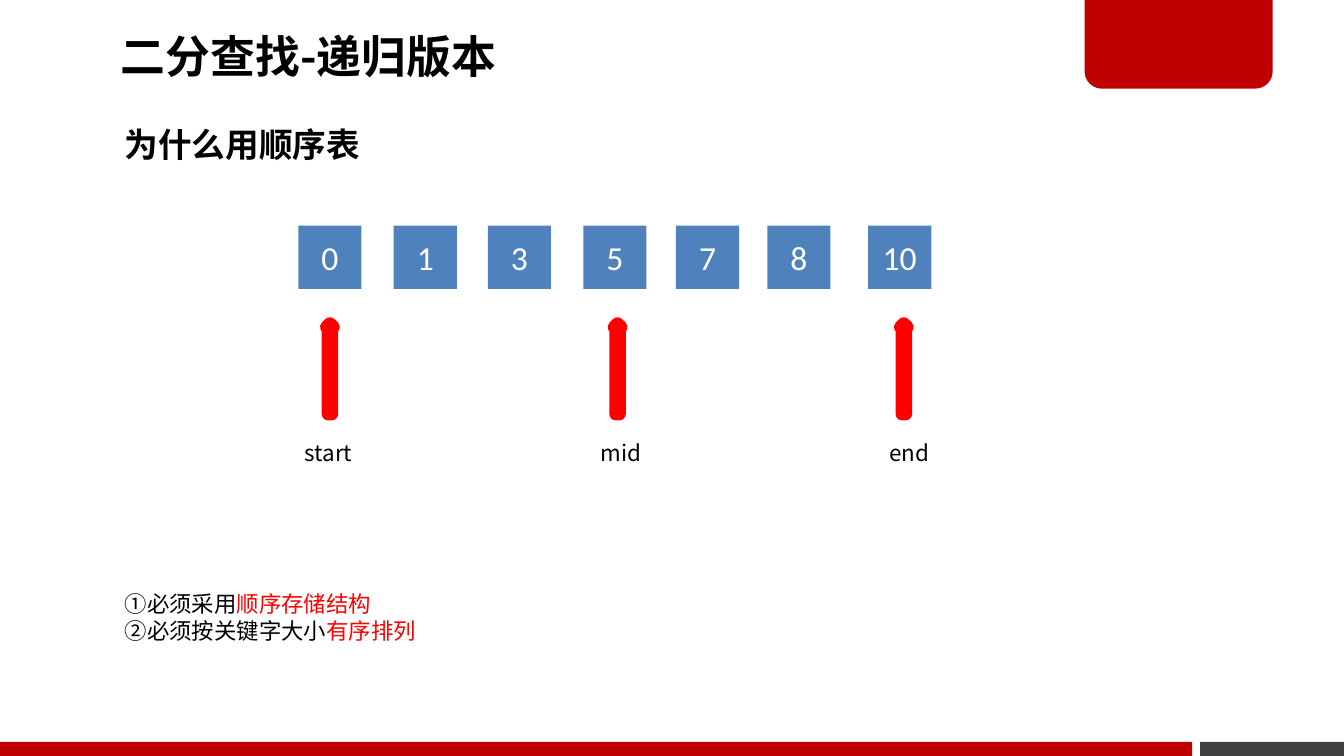
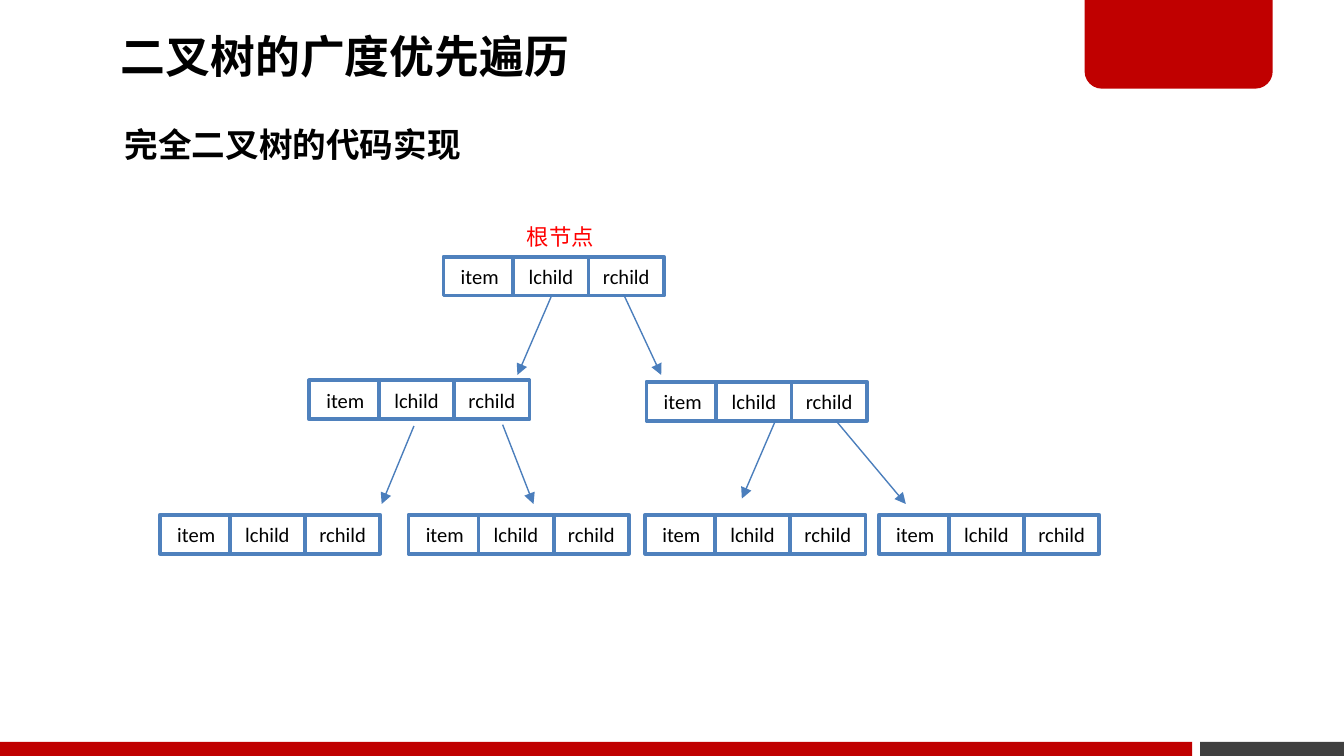
from dataclasses import dataclass

from lxml.etree import SubElement
from pptx import Presentation
from pptx.dml.color import RGBColor
from pptx.enum.shapes import MSO_CONNECTOR, MSO_SHAPE
from pptx.enum.text import MSO_ANCHOR, MSO_AUTO_SIZE, PP_ALIGN
from pptx.oxml.ns import qn
from pptx.util import Emu, Pt

EMU_PER_PX = 9144  # 100 px to the inch


@dataclass(frozen=True)
class Theme:
    red: str = "C00000"
    grey: str = "404040"
    blue: str = "4F81BD"
    edge: str = "4B7EBC"
    accent: str = "FF0000"
    ink: str = "000000"
    paper: str = "FFFFFF"
    cjk: str = "Noto Sans CJK SC"
    latin: str = "Calibri"
    title: int = 24
    heading: int = 18
    value: int = 18
    label: int = 12
    field: int = 11


THEME = Theme()


def px(*lengths):
    return [Emu(length * EMU_PER_PX) for length in lengths]


def rgb(code):
    return RGBColor.from_string(code)


def style(paragraph, size, color=THEME.ink, face=THEME.cjk, bold=False):
    font = paragraph.font
    font.size, font.bold, font.name = Pt(size), bold, face
    font.color.rgb = rgb(color)
    SubElement(font._rPr, qn("a:ea"), typeface=face)


def add_block(slide, box, fill=None, line=None, line_width=0, kind=MSO_SHAPE.RECTANGLE):
    block = slide.shapes.add_shape(kind, *px(*box))
    block.shadow.inherit = False
    if fill:
        block.fill.solid()
        block.fill.fore_color.rgb = rgb(fill)
    else:
        block.fill.background()
    if line:
        block.line.color.rgb = rgb(line)
        block.line.width = Pt(line_width)
    else:
        block.line.fill.background()
    return block


def write_centred(block, text, size, color):
    block.text_frame.vertical_anchor = MSO_ANCHOR.MIDDLE
    paragraph = block.text_frame.paragraphs[0]
    paragraph.text = text
    paragraph.alignment = PP_ALIGN.CENTER
    style(paragraph, size, color, THEME.latin)


def add_label(slide, box, lines, size=THEME.label, color=THEME.ink, bold=False):
    """Each line is a plain part, optionally followed by an accented part."""
    frame = slide.shapes.add_textbox(*px(*box)).text_frame
    frame.word_wrap = False
    frame.auto_size = MSO_AUTO_SIZE.SHAPE_TO_FIT_TEXT
    for number, (plain, *accented) in enumerate(lines):
        paragraph = frame.add_paragraph() if number else frame.paragraphs[0]
        style(paragraph, size, color, bold=bold)
        paragraph.add_run().text = plain
        for part in accented:
            run = paragraph.add_run()
            run.text = part
            run.font.color.rgb = rgb(THEME.accent)


def add_arrow(slide, start, end):
    arrow = slide.shapes.add_connector(MSO_CONNECTOR.STRAIGHT, *px(*start, *end))
    arrow.line.color.rgb = rgb(THEME.edge)
    arrow.line.width = Pt(0.75)
    SubElement(arrow.line._get_or_add_ln(), qn("a:tailEnd"), type="triangle")
    SubElement(arrow._element.spPr, qn("a:effectLst"))


def decorate_layout(layout, slide):
    """Draw the bands on a slide, then hand them to the layout all slides share."""
    tab = add_block(slide, (807, -2, 140, 68), THEME.red,
                    kind=MSO_SHAPE.ROUND_2_SAME_RECTANGLE)
    tab.adjustments[0], tab.adjustments[1] = 0, 0.19
    bands = [
        add_block(slide, (893, 552, 107, 11), THEME.grey),
        tab,
        add_block(slide, (0, 552, 887, 11), THEME.red),
    ]
    for band in bands:
        layout.shapes._spTree.append(band._element)


def add_headings(slide, title, heading, heading_width):
    holder = slide.shapes.title
    holder.left, holder.top, holder.width, holder.height = px(83, -1, 589, 89)
    frame = holder.text_frame
    frame.auto_size = MSO_AUTO_SIZE.NONE
    frame.vertical_anchor = MSO_ANCHOR.MIDDLE
    frame.margin_left, frame.margin_right = px(7, 7)
    frame.margin_top, frame.margin_bottom = px(4, 4)
    paragraph = frame.paragraphs[0]
    paragraph.text = title
    paragraph.alignment = PP_ALIGN.LEFT
    paragraph.line_spacing = 0.9
    style(paragraph, THEME.title, bold=True)
    add_label(slide, (83, 87, heading_width, 40), [(heading,)], THEME.heading, bold=True)


def add_sorted_array(slide, left, top):
    side = 47
    cells = [("0", 0), ("1", 71), ("3", 141), ("5", 212), ("7", 281), ("8", 349), ("10", 424)]
    for value, x in cells:
        cell = add_block(slide, (left + x, top, side, side), THEME.blue)
        write_centred(cell, value, THEME.value, THEME.paper)

    pointers = [("start", 21, -5, 57), ("mid", 235, 215, 51), ("end", 448, 430, 51)]
    for name, arrow_x, name_x, name_width in pointers:
        add_block(slide, (left + arrow_x, top + 73, 5, 67), line=THEME.accent,
                  line_width=7, kind=MSO_SHAPE.UP_ARROW)
        add_label(slide, (left + name_x, top + 154, name_width, 30), [(name,)])


def add_node(slide, left, top):
    for field, x, width in [("item", 0, 54), ("lchild", 52, 56), ("rchild", 108, 56)]:
        cell = add_block(slide, (left + x, top, width, 29), THEME.paper, THEME.blue, 2)
        write_centred(cell, field, THEME.field, THEME.ink)


def add_tree(slide, left, top):
    nodes = [(211, 0), (111, 92), (362, 93)] + [(x, 192) for x in (0, 185, 361, 535)]
    links = [
        ((291, 30), (266, 88)), ((345, 28), (373, 88)),
        ((189, 126), (165, 184)), ((255, 125), (278, 184)),
        ((458, 122), (433, 180)), ((503, 122), (555, 184)),
    ]
    for x, y in nodes:
        add_node(slide, left + x, top + y)
    for link in links:
        add_arrow(slide, *[(left + x, top + y) for x, y in link])
    add_label(slide, (left + 263, top - 30, 71, 30), [("根节点",)], color=THEME.accent)


def build_binary_search(slide):
    add_headings(slide, "二分查找-递归版本", "为什么用顺序表", 197)
    add_sorted_array(slide, 222, 168)
    add_label(slide, (83, 434, 239, 50), [
        ("①必须采用", "顺序存储结构"),
        ("②必须按关键字大小", "有序排列"),
    ])


def build_tree_traversal(slide):
    add_headings(slide, "二叉树的广度优先遍历", "完全二叉树的代码实现", 273)
    add_tree(slide, 119, 191)


def main():
    deck = Presentation()
    deck.slide_width = Emu(1000 * EMU_PER_PX)
    deck.slide_height = Emu(deck.slide_width * 9 // 16)
    layout = deck.slide_layouts[5]
    search, traversal = [deck.slides.add_slide(layout) for _ in range(2)]
    decorate_layout(layout, search)
    build_binary_search(search)
    build_tree_traversal(traversal)
    deck.save("out.pptx")


if __name__ == "__main__":
    main()
